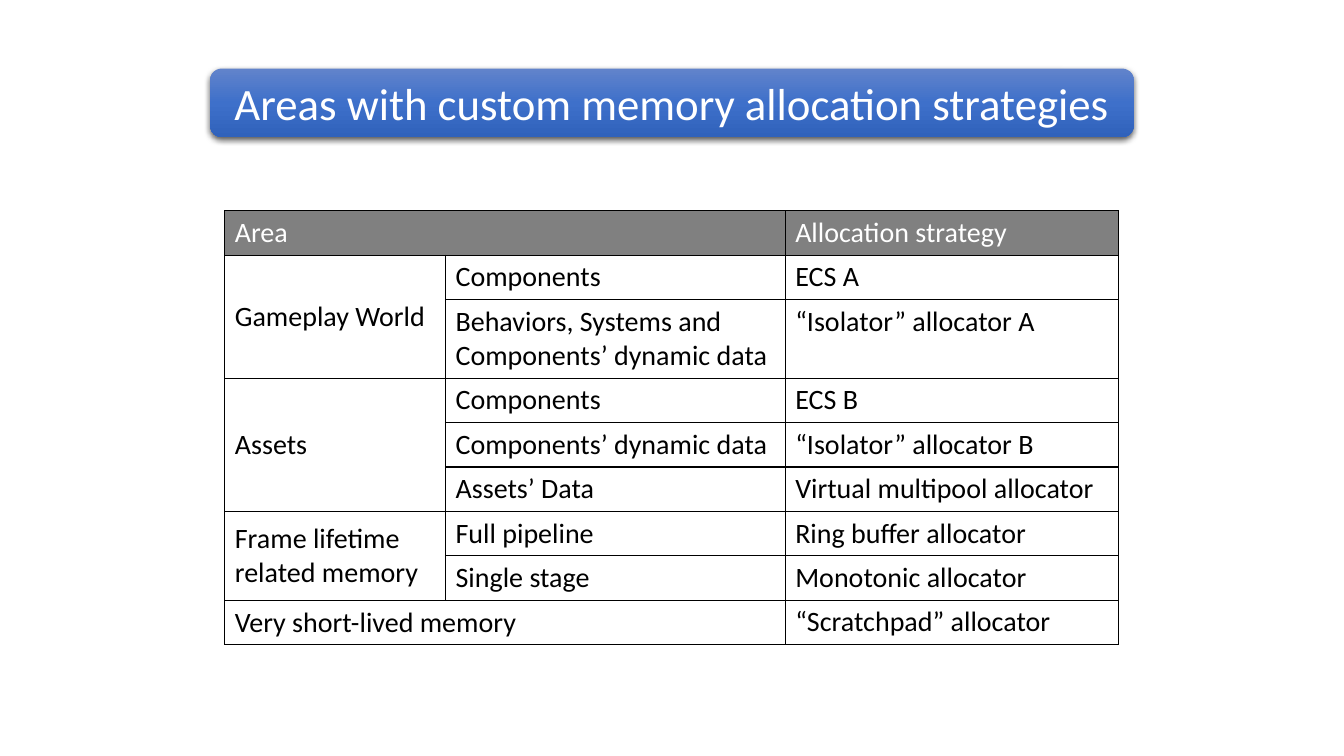
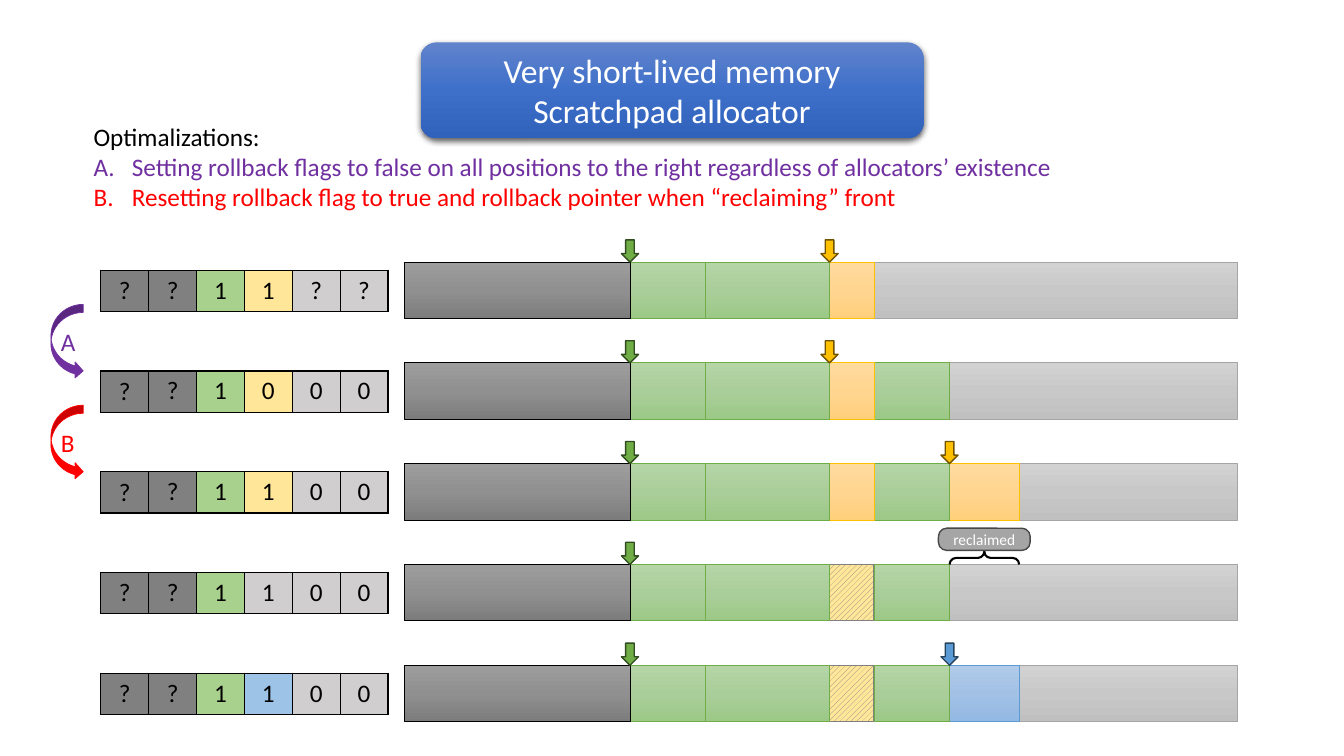
from copy import deepcopy

from lxml.etree import SubElement
from pptx import Presentation
from pptx.dml.color import RGBColor
from pptx.enum.dml import MSO_PATTERN
from pptx.enum.shapes import MSO_SHAPE
from pptx.enum.text import MSO_ANCHOR, PP_ALIGN
from pptx.oxml.ns import qn
from pptx.util import Inches, Pt

CELL = Inches(0.1)  # the slide is a grid of 133.3 columns by 75 rows
COLUMNS, ROWS = 133.33, 75
FONT = "Calibri"
COLOURS = {
    "black": "000000", "white": "FFFFFF", "purple": "7030A0", "red": "FF0000",
    "used": "808080", "kept": "A9D18E", "front": "FFE699", "free": "D0CECE",
    "fresh": "9DC3E6", "label": "A5A5A5", "label edge": "484848",
}
TITLE_GRADIENT = ["6183CB", "3E70CA", "3062BB"]
# Three colours make a gradient, two make a hatch (lines, ground)
SEGMENTS = {
    "used": (["9D9D9D", "909090", "7C7C7C"], "000000", 0.5),
    "kept": (["B5D5A7", "AACE9A", "9CC987"], "70AD47", 0.5),
    "front": (["FFDB9E", "FFD590", "FFD07C"], "FFC000", 0.5),
    "fresh": (["B1CBE9", "A3C1E5", "93B9E4"], "5B9BD5", 0.5),
    "free": (["D2D2D2", "C8C8C8", "C0C0C0"], "A5A5A5", 0.5),
    "hatched": (["808080", "FFE699"], "808080", 0.75),
}
POINTERS = {
    "kept": ("70AD47", "314C1F", 1),
    "front": ("FFC000", "705400", 1),
    "fresh": ("5B9BD5", "28445D", 1),
}


def add_block(slide, preset, box, fill=None, line=None, width=1):
    """Add a preset shape at a box in grid cells; fill is a hex string, a list of them or None."""
    block = slide.shapes.add_shape(preset, *(int(CELL * n) for n in box))
    block.shadow.inherit = False
    if fill is None:
        block.fill.background()
    elif isinstance(fill, str):
        block.fill.solid()
        block.fill.fore_color.rgb = RGBColor.from_string(fill)
    elif len(fill) == 2:
        block.fill.patterned()
        block.fill.pattern = MSO_PATTERN.WIDE_UPWARD_DIAGONAL
        block.fill.fore_color.rgb, block.fill.back_color.rgb = map(RGBColor.from_string, fill)
    else:
        block.fill.gradient()
        block.fill.gradient_angle = 270
        stops = next(block._element.spPr.iter(qn("a:gsLst")))
        stops.insert(1, deepcopy(stops[0]))
        for stop, position, colour in zip(block.fill.gradient_stops, (0, 0.5, 1), fill):
            stop.position = position
            stop.color.rgb = RGBColor.from_string(colour)
    if line:
        block.line.color.rgb = RGBColor.from_string(line)
        block.line.width = Pt(width)
    else:
        block.line.fill.background()
    return block


def write(frame, lines, size, align=PP_ALIGN.CENTER):
    """Fill a text frame with one paragraph for each (text, colour name)."""
    for number, (text, colour) in enumerate(lines):
        paragraph = frame.add_paragraph() if number else frame.paragraphs[0]
        paragraph.alignment = align
        run = paragraph.add_run()
        run.text = text
        for attribute, value in {"name": FONT, "size": Pt(size)}.items():
            setattr(run.font, attribute, value)
        run.font.color.rgb = RGBColor.from_string(COLOURS[colour])


deck = Presentation()
deck.slide_width, deck.slide_height = int(CELL * COLUMNS), int(CELL * ROWS)
blank = deck.slide_layouts[6]
overview, scratchpad = (deck.slides.add_slide(blank) for _ in range(2))

# Titles, centred across the slide
for slide, top, width, height, size, lines in [
    (overview, 6.8, 91.6, 6.8, 32, ["Areas with custom memory allocation strategies"]),
    (scratchpad, 4.2, 49.9, 9.5, 24, ["Very short-lived memory", "Scratchpad allocator"]),
]:
    box = ((COLUMNS - width) / 2, top, width, height)
    title = add_block(slide, MSO_SHAPE.ROUNDED_RECTANGLE, box, TITLE_GRADIENT)
    write(title.text_frame, [(line, "white") for line in lines], size)
    shadow = SubElement(
        title._element.spPr.find(qn("a:effectLst")), qn("a:outerShdw"),
        blurRad=str(Pt(4.5)), dist=str(Pt(1.5)), dir="5400000", algn="ctr", rotWithShape="0")
    shade = SubElement(shadow, qn("a:srgbClr"), val=COLOURS["black"])
    SubElement(shade, qn("a:alpha"), val="63000")

# Lettered list of optimalizations
notes = scratchpad.shapes.add_textbox(*(int(CELL * n) for n in (8.3, 11.5, 107.5, 10.1)))
notes.text_frame.word_wrap = True
write(notes.text_frame, [
    ("Optimalizations:", "black"),
    ("Setting rollback flags to false on all positions to the right "
     "regardless of allocators’ existence", "purple"),
    ("Resetting rollback flag to true and rollback pointer when “reclaiming” front", "red"),
], 18, PP_ALIGN.LEFT)
for paragraph in notes.text_frame.paragraphs[1:]:
    properties = paragraph._p.get_or_add_pPr()
    properties.set("marL", str(Inches(0.38)))
    properties.set("indent", str(-Inches(0.38)))
    SubElement(properties, qn("a:buFont"), typeface="+mj-lt")
    SubElement(properties, qn("a:buAutoNum"), type="alphaUcPeriod")

# Tables: slide, left, top, column widths, texts, fills, size, alignment, merged corners
areas = [
    ["Area", "", "Allocation strategy"],
    ["Gameplay World", "Components", "ECS A"],
    ["", "Behaviors, Systems and Components’ dynamic data", "“Isolator” allocator A"],
    ["Assets", "Components", "ECS B"],
    ["", "Components’ dynamic data", "“Isolator” allocator B"],
    ["", "Assets’ Data", "Virtual multipool allocator"],
    ["Frame lifetime related memory", "Full pipeline", "Ring buffer allocator"],
    ["", "Single stage", "Monotonic allocator"],
    ["Very short-lived memory", "", "“Scratchpad” allocator"],
]
area_fills = [["used"] * 3] + [[None] * 3] * 8
area_merges = [(0, 0, 0, 1), (1, 0, 2, 0), (3, 0, 5, 0), (6, 0, 7, 0), (8, 0, 8, 1)]
tables = [(overview, 22.3, 20.9, [21.9, 33.7, 33.1], areas, area_fills, 20,
           PP_ALIGN.LEFT, area_merges)]

# Memory states: flags, colour of the fourth flag, segments, pointers as (edge, kind)
edges = [40.1, 62.5, 70, 82.3, 86.7, 94.2, 101.1, 122.8]
first_bar, pitch, bar_height = 26, 10, 5.6
states = [
    ("??11??", "front", "used kept kept front free", [(1, "kept"), (3, "front")]),
    ("??1000", "front", "used kept kept front kept free", [(1, "kept"), (3, "front")]),
    ("??1100", "front", "used kept kept front kept front free", [(1, "kept"), (5, "front")]),
    ("??1100", "free", "used kept kept hatched kept free", [(1, "kept")]),
    ("??1100", "fresh", "used kept kept hatched kept fresh free", [(1, "kept"), (5, "fresh")]),
]
for row, (flags, fourth, segments, pointers) in enumerate(states):
    top = first_bar + row * pitch
    kinds = segments.split()
    # The last segment runs on to the end of the bar
    rights = edges[1:len(kinds)] + edges[-1:]
    for left, right, kind in reversed(list(zip(edges, rights, kinds))):
        box = (left, top, right - left, bar_height)
        add_block(scratchpad, MSO_SHAPE.RECTANGLE, box, *SEGMENTS[kind])
    for edge, kind in pointers:
        box = (edges[edge] - 0.85, top - 2.2, 1.7, 2.2)
        add_block(scratchpad, MSO_SHAPE.DOWN_ARROW, box, *POINTERS[kind])
    flag_fills = ["used", "used", "kept", fourth, "free", "free"]
    tables.append((scratchpad, 10, top + 0.8, [4.75] * 6, [list(flags)], [flag_fills], 18,
                   PP_ALIGN.CENTER, []))

row_height = 4.1
for slide, left, top, widths, texts, fills, size, align, merges in tables:
    box = (left, top, sum(widths), row_height * len(texts))
    table = slide.shapes.add_table(
        len(texts), len(widths), *(int(CELL * n) for n in box)).table
    for attribute, value in {"first_row": False, "horz_banding": False}.items():
        setattr(table, attribute, value)
    for column, width in zip(table.columns, widths):
        column.width = int(CELL * width)
    for row, (row_texts, row_fills) in enumerate(zip(texts, fills)):
        for column, (text, fill) in enumerate(zip(row_texts, row_fills)):
            cell = table.cell(row, column)
            cell.vertical_anchor = MSO_ANCHOR.TOP if column else MSO_ANCHOR.MIDDLE
            if fill:
                cell.fill.solid()
                cell.fill.fore_color.rgb = RGBColor.from_string(COLOURS[fill])
            else:
                cell.fill.background()
            if text:
                is_header = slide is overview and row == 0
                write(cell.text_frame, [(text, "white" if is_header else "black")], size, align)
            properties = cell._tc.get_or_add_tcPr()
            for place, side in enumerate(("lnL", "lnR", "lnT", "lnB")):
                border = SubElement(properties, qn("a:" + side), w=str(Pt(1)))
                ink = SubElement(border, qn("a:solidFill"))
                SubElement(ink, qn("a:srgbClr"), val=COLOURS["black"])
                properties.insert(place, border)
    for first_row, first_column, last_row, last_column in merges:
        table.cell(first_row, first_column).merge(table.cell(last_row, last_column))

# Steps between the first three states
for step, (letter, colour) in enumerate([("A", "purple"), ("B", "red")]):
    box = (5.05, first_bar + 4.2 + step * pitch, 3.2, 7.4)
    arrow = add_block(scratchpad, MSO_SHAPE.CURVED_RIGHT_ARROW, box,
                      COLOURS[colour], COLOURS[colour], 0.5)
    write(arrow.text_frame, [(letter, colour)], 18)

# Reclaimed span above the fourth bar
span = edges[6] - edges[5]
middle = (edges[5] + edges[6]) / 2
depth = 1.3
fourth_bar = first_bar + 3 * pitch
box = (middle - depth / 2, fourth_bar - depth / 2 - span / 2, depth, span)
brace = add_block(scratchpad, MSO_SHAPE.RIGHT_BRACE, box, None, COLOURS["black"], 1.5)
brace.rotation = 270
brace.adjustments[0] = 0.49
label = add_block(scratchpad, MSO_SHAPE.ROUNDED_RECTANGLE,
                  (middle - 4.55, fourth_bar - 3.6, 9.1, 2.2),
                  COLOURS["label"], COLOURS["label edge"])
label.adjustments[0] = 0.37
write(label.text_frame, [("reclaimed", "white")], 11)

deck.save("out.pptx")
